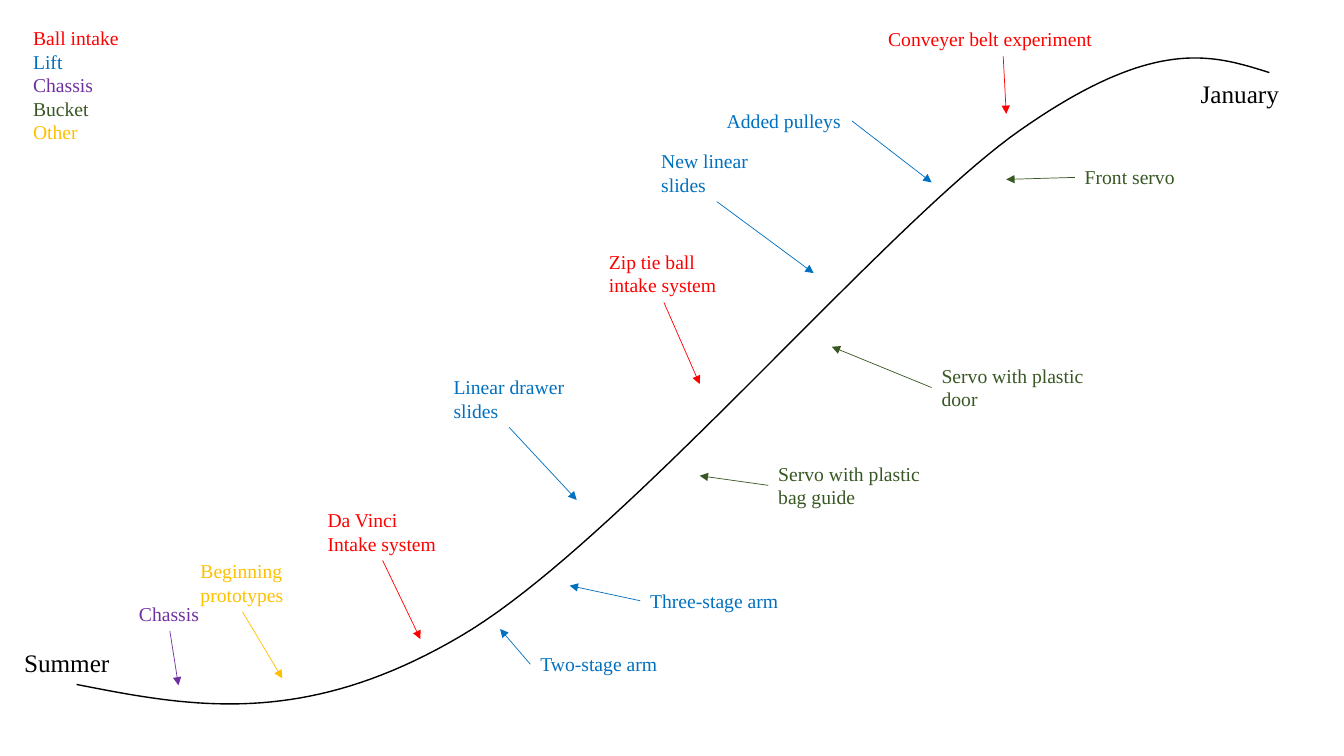
from lxml import etree
from pptx import Presentation
from pptx.dml.color import RGBColor
from pptx.enum.shapes import MSO_CONNECTOR
from pptx.enum.text import MSO_AUTO_SIZE
from pptx.oxml.ns import qn
from pptx.util import Inches, Pt

STRAIGHT = MSO_CONNECTOR.STRAIGHT
GROW = MSO_AUTO_SIZE.SHAPE_TO_FIT_TEXT
FONT = "Times New Roman"
COLORS = {
    "time": "000000",
    "intake": "FF0000",
    "lift": "0070C0",
    "chassis": "7030A0",
    "bucket": "385723",
    "other": "FFC000",
}

LEGEND = [("Ball intake", "intake"), ("Lift", "lift"), ("Chassis", "chassis"),
          ("Bucket", "bucket"), ("Other", "other")]

# text, left, top, width
ENDS = [("Summer", 0.14, 6.37, 1.07), ("January", 11.81, 0.73, 0.99)]

# lines, subsystem, left, top, width, wrap, side the arrow leaves, arrow tip
EVENTS = [
    (["Chassis"], "chassis", 1.28, 5.92, 0.81, False, "bottom", (1.77, 6.8)),
    (["Beginning", "prototypes"], "other", 1.89, 5.5, 1.03, False, "bottom", (2.8, 6.73)),
    (["Da Vinci", "Intake system"], "intake", 3.15, 4.99, 1.29, False, "bottom", (4.17, 6.34)),
    (["Two-stage arm"], "lift", 5.26, 6.42, 1.38, False, "left", (4.96, 6.24)),
    (["Three-stage arm"], "lift", 6.35, 5.79, 1.52, True, "left", (5.65, 5.81)),
    (["Linear drawer", "slides"], "lift", 4.4, 3.67, 1.3, False, "bottom", (5.72, 4.96)),
    (["Servo with plastic", "bag guide"], "bucket", 7.62, 4.53, 1.62, False, "left", (6.94, 4.72)),
    (["Zip tie ball", "intake system"], "intake", 5.94, 2.43, 1.29, False, "bottom", (6.94, 3.81)),
    (["Servo with plastic", "door"], "bucket", 9.24, 3.56, 1.62, True, "left", (8.25, 3.44)),
    (["New linear slides"], "lift", 6.46, 1.43, 1.3, True, "bottom", (8.07, 2.71)),
    (["Added pulleys"], "lift", 7.11, 1.03, 1.34, False, "right", (9.24, 1.81)),
    (["Front servo"], "bucket", 10.66, 1.59, 1.15, True, "left", (9.98, 1.78)),
    (["Conveyer belt experiment"], "intake", 8.71, 0.22, 2.48, True, "bottom", (9.98, 1.13)),
]
TWO_ROWS = {"New linear slides"}  # one paragraph that wraps onto a second row

CURVE_START = (0.76, 6.79)
CURVE = [  # two control points and an end point for each segment
    ((1.88, 7.01), (3.01, 7.23), (4.57, 6.31)),
    ((6.13, 5.4), (8.78, 2.23), (10.12, 1.29)),
    ((11.45, 0.36), (12.02, 0.54), (12.59, 0.72)),
]
STEPS = 40


def rgb(name):
    """Return the colour with this name."""
    return RGBColor.from_string(COLORS[name])


def add_text(s, lines, x, y, w, h, size=14, wrap=False):
    """Add a text box with one paragraph for each (text, colour) line."""
    tf = s.shapes.add_textbox(Inches(x), Inches(y), Inches(w), Inches(h)).text_frame
    tf.word_wrap = wrap
    tf.auto_size = GROW
    for i, (text, color) in enumerate(lines):
        p = tf.paragraphs[0] if i == 0 else tf.add_paragraph()
        r = p.add_run()
        r.text = text
        r.font.name = FONT
        r.font.size = Pt(size)
        r.font.color.rgb = rgb(color)


def add_arrow(s, start, tip, color):
    """Add a thin line with a triangle at its tip."""
    c = s.shapes.add_connector(STRAIGHT, *(Inches(v) for v in start + tip))
    c.line.color.rgb = rgb(color)
    c.line.width = Pt(0.5)
    etree.SubElement(c.line._get_or_add_ln(), qn("a:tailEnd"), type="triangle")
    etree.SubElement(c._element.spPr, qn("a:effectLst"))


def bezier(points, t):
    """Return the point at t on a cubic curve."""
    u = 1 - t
    weights = (u ** 3, 3 * u * u * t, 3 * u * t * t, t ** 3)
    return tuple(sum(k * p[axis] for k, p in zip(weights, points)) for axis in (0, 1))


def add_curve(s):
    """Draw the season curve as one smooth open outline."""
    start, points = CURVE_START, []
    for segment in CURVE:
        points += [bezier((start, *segment), i / STEPS) for i in range(1, STEPS + 1)]
        start = segment[-1]
    fb = s.shapes.build_freeform(*(Inches(v) for v in CURVE_START))
    fb.add_line_segments([(Inches(x), Inches(y)) for x, y in points], close=False)
    sp = fb.convert_to_shape()
    sp.shadow.inherit = False
    sp.fill.background()
    sp.line.color.rgb = rgb("time")
    sp.line.width = Pt(1)


def add_event(s, lines, color, x, y, w, wrap, side, tip):
    """Add an event label and the arrow from its side to the curve."""
    h = 0.57 if len(lines) > 1 or lines[0] in TWO_ROWS else 0.34
    add_text(s, [(text, color) for text in lines], x, y, w, h, wrap=wrap)
    starts = {"bottom": (x + w / 2, y + h),
              "left": (x, y + h / 2),
              "right": (x + w, y + h / 2)}
    add_arrow(s, starts[side], tip, color)


prs = Presentation()
prs.slide_width, prs.slide_height = Inches(13.33), Inches(7.5)
s = prs.slides.add_slide(prs.slide_layouts[6])

add_curve(s)
for text, x, y, w in ENDS:
    add_text(s, [(text, "time")], x, y, w, 0.4, size=18)
add_text(s, LEGEND, 0.23, 0.21, 1.06, 1.28)
for event in EVENTS:
    add_event(s, *event)

prs.save("out.pptx")
